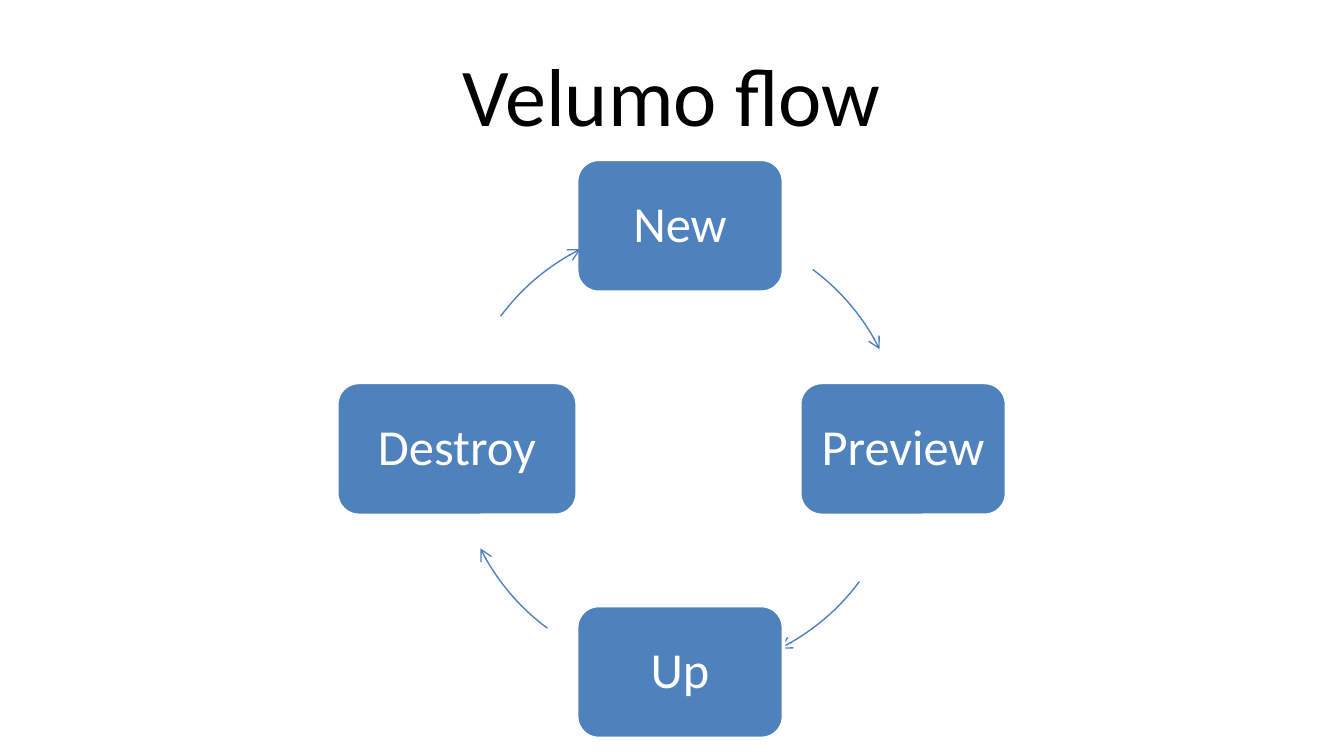
from dataclasses import dataclass
from math import cos, radians, sin

from lxml.etree import SubElement
from pptx import Presentation
from pptx.dml.color import RGBColor
from pptx.enum.shapes import MSO_SHAPE as Shape
from pptx.enum.text import MSO_ANCHOR as Anchor, PP_ALIGN as Align
from pptx.oxml.ns import qn
from pptx.slide import Slide
from pptx.util import Inches, Pt

BLUE = RGBColor(0x4F, 0x81, 0xBD)
WHITE = RGBColor(0xFF, 0xFF, 0xFF)
BLACK = RGBColor(0x00, 0x00, 0x00)

# The slide is a grid of square cells, 100 columns by 56.25 rows.
COLUMNS, ROWS = 100, 56.25
CELL = Inches(0.1)

CENTER_COLUMN, CENTER_ROW, RADIUS = 50.6, 33.4, 16.6
STEP_HEIGHT = 9.9
STEPS = [("New", 15.4), ("Preview", 15.4), ("Up", 15.4), ("Destroy", 17.9)]
ARROW_GAP, ARROW_SWEEP = 36.5, 27  # degrees


def write(shape, text, *, size, color, font, spacing=1.0, inset=0.1):
    frame = shape.text_frame
    frame.word_wrap = True
    frame.vertical_anchor = Anchor.MIDDLE
    frame.margin_left = frame.margin_right = Inches(inset)
    para = frame.paragraphs[0]
    para.alignment = Align.CENTER
    para.line_spacing = spacing
    span = para.add_run()
    span.text = text
    span.font.name = font
    span.font.size = Pt(size)
    span.font.color.rgb = color


@dataclass
class FlowPage:
    page: Slide
    font: str = "Calibri"
    title_size: int = 44
    step_size: int = 27

    def place(self, column, row, width, height):
        return [round(length * CELL) for length in (column, row, width, height)]

    def title(self, text):
        box = self.page.shapes.add_textbox(*self.place(5, 2.3, 90, 9.4))
        write(box, text, size=self.title_size, color=BLACK, font=self.font)

    def step(self, text, angle, width):
        """Draw a step centred on the ring; angles run clockwise from the right."""
        column = CENTER_COLUMN + RADIUS * cos(radians(angle)) - width / 2
        row = CENTER_ROW + RADIUS * sin(radians(angle)) - STEP_HEIGHT / 2
        box = self.page.shapes.add_shape(
            Shape.ROUNDED_RECTANGLE, *self.place(column, row, width, STEP_HEIGHT))
        box.shadow.inherit = False
        box.fill.solid()
        box.fill.fore_color.rgb = BLUE
        box.line.color.rgb = WHITE
        box.line.width = Pt(2)
        write(box, text, size=self.step_size, color=WHITE, font=self.font,
              spacing=0.9)

    def arrow(self, start, end):
        """Draw a clockwise arc of the ring with an arrowhead at its end."""
        arc = self.page.shapes.add_shape(Shape.ARC, *self.place(
            CENTER_COLUMN - RADIUS, CENTER_ROW - RADIUS, 2 * RADIUS, 2 * RADIUS))
        for index, angle in enumerate((start, end)):
            # Stored in 60000ths of a degree, exposed in units of 100000.
            arc.adjustments[index] = angle % 360 * 0.6
        arc.shadow.inherit = False
        arc.fill.background()
        arc.line.color.rgb = BLUE
        arc.line.width = Pt(0.75)
        SubElement(arc.line._get_or_add_ln(), qn("a:tailEnd"), type="arrow")


def main():
    deck = Presentation()
    deck.slide_width, deck.slide_height = COLUMNS * CELL, round(ROWS * CELL)
    flow = FlowPage(deck.slides.add_slide(deck.slide_layouts[6]))
    for index, (name, width) in enumerate(STEPS):
        angle = 270 + 90 * index
        flow.step(name, angle, width)
        start = angle + ARROW_GAP
        flow.arrow(start, start + ARROW_SWEEP)
    flow.title("Velumo flow")
    deck.save("out.pptx")


if __name__ == "__main__":
    main()
